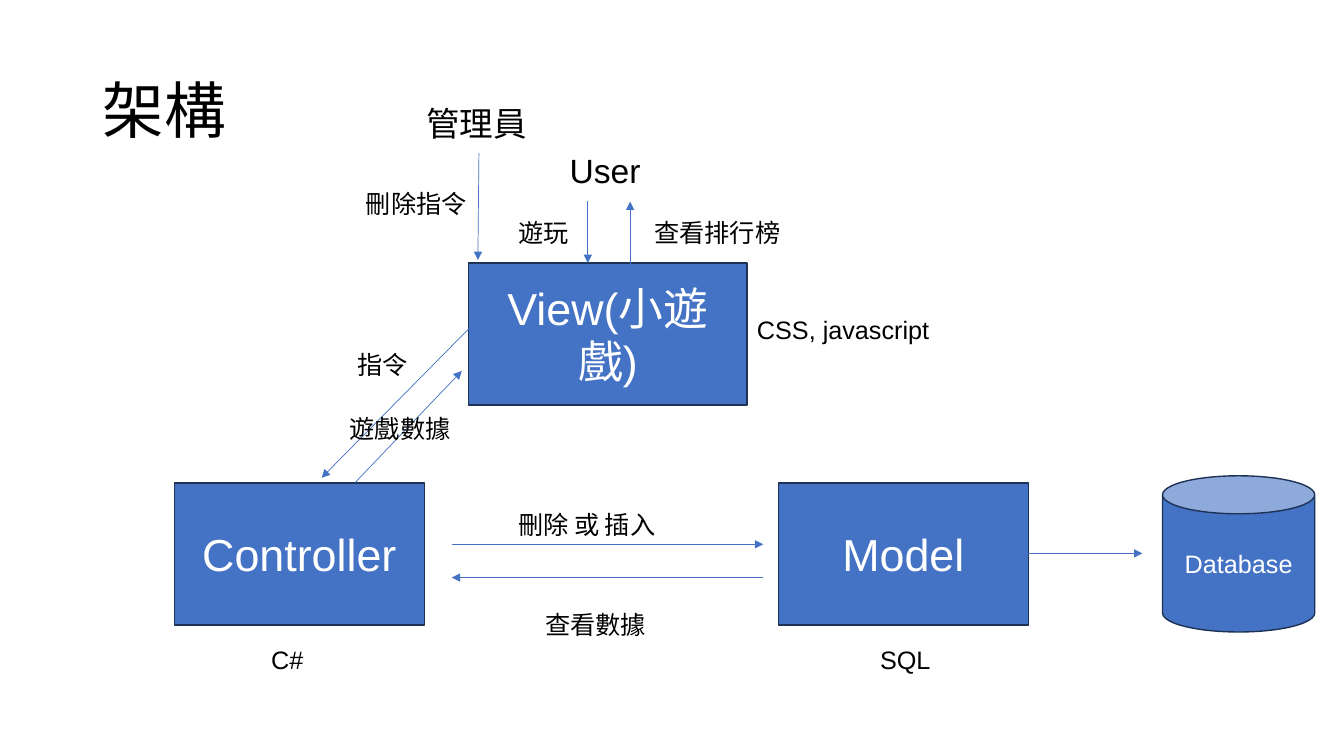
from lxml.etree import SubElement
from pptx import Presentation
from pptx.dml.color import RGBColor
from pptx.enum.shapes import MSO_CONNECTOR as CONN, MSO_SHAPE as SHAPE
from pptx.enum.text import MSO_ANCHOR as ANCHOR, MSO_AUTO_SIZE as AUTO, PP_ALIGN as ALIGN
from pptx.oxml.ns import qn
from pptx.util import Inches, Pt


def rgb(value):
    return RGBColor.from_string(value)


class Diagram:
    FONT = "Arial"
    BLUE, EDGE, INK, PAPER = "4472C4", "1E3256", "000000", "FFFFFF"

    def __init__(self, slide):
        self.shapes = slide.shapes

    def run(self, p, text, size, color):
        r = p.add_run()
        r.text = text
        r.font.name = self.FONT
        r.font.size = Pt(size)
        r.font.color.rgb = rgb(color)

    def title(self, text, x, y, w, h):
        sp = self.shapes.add_textbox(*map(Inches, (x, y, w, h)))
        tf = sp.text_frame
        tf.word_wrap = True
        tf.vertical_anchor = ANCHOR.MIDDLE
        p = tf.paragraphs[0]
        p.line_spacing = 0.9
        self.run(p, text, 44, self.INK)

    def node(self, text, x, y, w, h, kind=SHAPE.RECTANGLE, size=32):
        sp = self.shapes.add_shape(kind, *map(Inches, (x, y, w, h)))
        sp.shadow.inherit = False
        sp.fill.solid()
        sp.fill.fore_color.rgb = rgb(self.BLUE)
        sp.line.color.rgb = rgb(self.EDGE)
        sp.line.width = Pt(1)
        tf = sp.text_frame
        tf.word_wrap = True
        tf.vertical_anchor = ANCHOR.MIDDLE
        p = tf.paragraphs[0]
        p.alignment = ALIGN.CENTER
        self.run(p, text, size, self.PAPER)

    def arrow(self, x1, y1, x2, y2):
        line = self.shapes.add_connector(CONN.STRAIGHT, *map(Inches, (x1, y1, x2, y2)))
        line.line.color.rgb = rgb(self.BLUE)
        line.line.width = Pt(0.5)
        SubElement(line.line._get_or_add_ln(), qn("a:tailEnd"), type="triangle")
        SubElement(line._element.spPr, qn("a:effectLst"))

    def label(self, text, x, y, w, size=18):
        h = 0.5 if size > 18 else 0.4
        sp = self.shapes.add_textbox(*map(Inches, (x, y, w, h)))
        tf = sp.text_frame
        tf.word_wrap = False
        tf.auto_size = AUTO.SHAPE_TO_FIT_TEXT
        self.run(tf.paragraphs[0], text, size, self.INK)


def main():
    prs = Presentation()
    prs.slide_width, prs.slide_height = Inches(13.33), Inches(7.5)
    s = Diagram(prs.slides.add_slide(prs.slide_layouts[6]))

    s.title("架構", 0.92, 0.4, 11.5, 1.45)

    # Components
    s.node("View(小遊戲)", 4.65, 2.61, 2.76, 1.41)
    s.node("Controller", 1.73, 4.79, 2.48, 1.41)
    s.node("Model", 7.72, 4.79, 2.48, 1.41)
    s.node("Database", 11.53, 4.72, 1.51, 1.55, SHAPE.CAN, 18)

    # Arrows, each from start to head
    for ends in (
        (4.75, 1.52, 4.74, 2.58),   # administrator to view
        (5.83, 1.99, 5.83, 2.61),   # user to view
        (6.25, 2.62, 6.25, 2),      # view to user
        (4.73, 3.18, 3.19, 4.74),   # view to controller
        (3.52, 4.79, 4.58, 3.68),   # controller to view
        (4.48, 5.4, 7.57, 5.4),     # controller to model
        (7.57, 5.73, 4.48, 5.73),   # model to controller
        (10.2, 5.49, 11.33, 5.49),  # model to database
    ):
        s.arrow(*ends)

    # Actors
    s.label("管理員", 4.13, 0.97, 1.21, 24)
    s.label("User", 5.55, 1.44, 0.91, 24)

    # Messages and technologies
    for text, x, y, w in (
        ("刪除指令", 3.53, 1.82, 1.21),
        ("遊玩", 5.04, 2.11, 0.71),
        ("查看排行榜", 6.39, 2.11, 1.46),
        ("指令", 3.45, 3.42, 0.71),
        ("遊戲數據", 3.37, 4.05, 1.21),
        ("刪除 或 插入", 5.04, 5, 1.6),
        ("查看數據", 5.31, 6, 1.21),
        ("CSS, javascript", 7.41, 3.07, 1.93),
        ("C#", 2.59, 6.34, 0.52),
        ("SQL", 8.63, 6.34, 0.71),
    ):
        s.label(text, x, y, w)

    prs.save("out.pptx")


if __name__ == "__main__":
    main()
